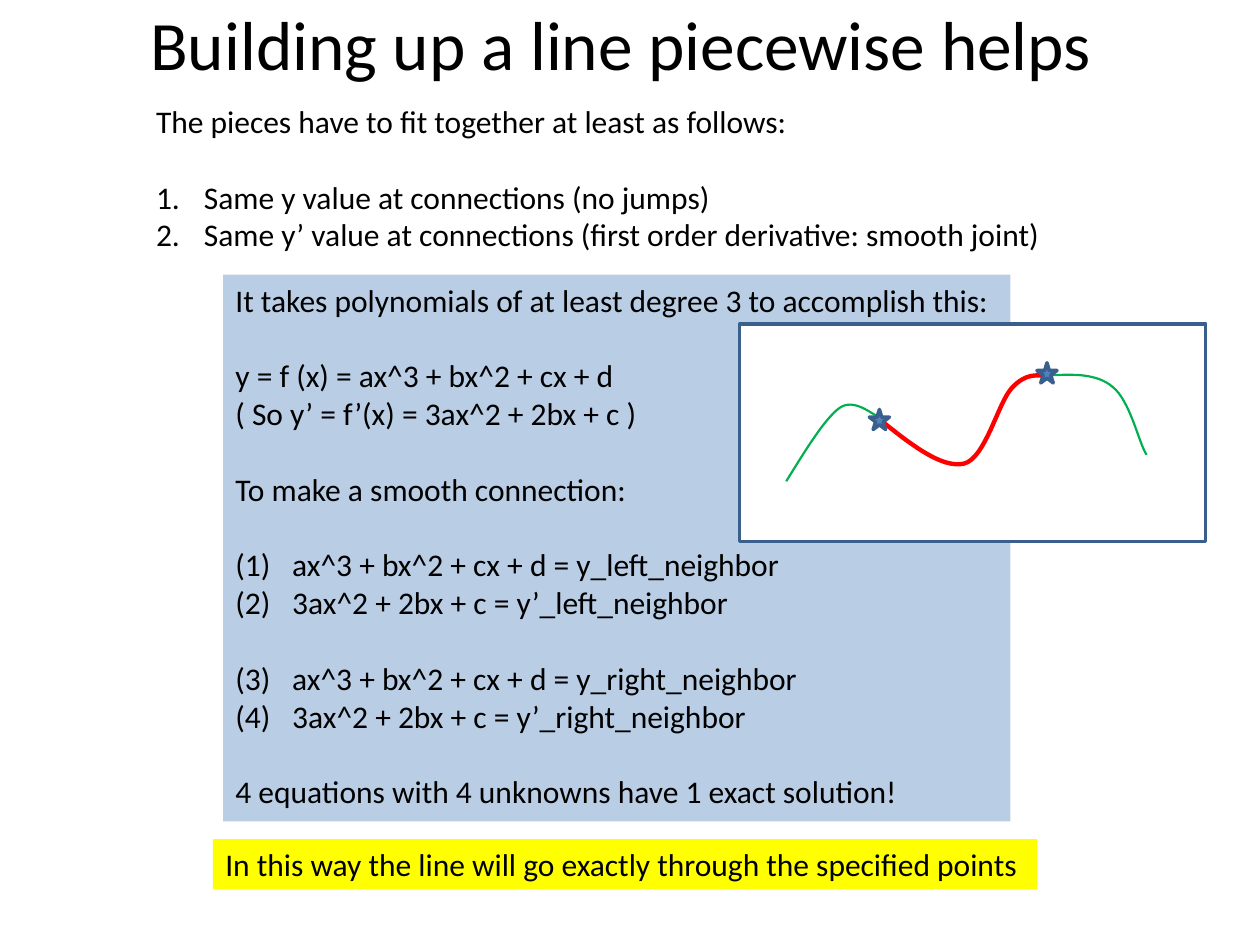
from typing import NamedTuple

from lxml import etree
from pptx import Presentation
from pptx import util as u
from pptx.dml.color import RGBColor
from pptx.enum import shapes, text
from pptx.oxml import ns

BLACK = RGBColor(0x00, 0x00, 0x00)
WHITE = RGBColor(0xFF, 0xFF, 0xFF)
PALE_BLUE = RGBColor(0xB9, 0xCD, 0xE5)
BLUE = RGBColor(0x4F, 0x81, 0xBD)
DARK_BLUE = RGBColor(0x3A, 0x5F, 0x8C)
YELLOW = RGBColor(0xFF, 0xFF, 0x00)
GREEN = RGBColor(0x00, 0xB0, 0x50)
RED = RGBColor(0xFF, 0x00, 0x00)

FONT = "Calibri"
LINE_GAP = u.Pt(21.6)  # one line of 18 pt text
STEPS = 16  # straight steps per Bezier segment
STAR_SIZE = 0.16

Point = tuple[float, float]


class Line(NamedTuple):
    text: str
    gap: bool = False  # leave one line free above
    hang: float = 0  # hanging indent in inches
    numbered: bool = False


class Curve(NamedTuple):
    color: RGBColor
    width: float
    points: list[Point]  # start, then two controls and an end per segment


INTRO = [
    Line("The pieces have to fit together at least as follows:"),
    Line("Same y value at connections (no jumps)", True, 0.38, True),
    Line("Same y’ value at connections (first order derivative: smooth joint)",
         False, 0.38, True),
]
EQUATIONS = [
    Line("It takes polynomials of at least degree 3 to accomplish this:"),
    Line("y = f (x) = ax^3 + bx^2 + cx + d", True),
    Line("( So y’ = f’(x) = 3ax^2 + 2bx + c )"),
    Line("To make a smooth connection:", True),
    Line("(1)\tax^3 + bx^2 + cx + d = y_left_neighbor", True, 0.45),
    Line("(2)\t3ax^2 + 2bx + c = y’_left_neighbor", False, 0.45),
    Line("(3)\tax^3 + bx^2 + cx + d = y_right_neighbor", True, 0.45),
    Line("(4)\t3ax^2 + 2bx + c = y’_right_neighbor", False, 0.45),
    Line("4 equations with 4 unknowns have 1 exact solution!", True),
]
CURVES = [
    Curve(GREEN, 1.25, [(6.24, 3.82), (6.39, 3.58), (6.54, 3.33), (6.66, 3.24),
                        (6.78, 3.15), (6.93, 3.3), (6.98, 3.31)]),
    Curve(RED, 2.5, [(6.97, 3.32), (7.22, 3.52), (7.47, 3.72), (7.65, 3.68),
                     (7.82, 3.64), (7.92, 3.2), (8.03, 3.08),
                     (8.14, 2.96), (8.23, 2.98), (8.31, 2.98)]),
    Curve(GREEN, 1.25, [(8.31, 2.98), (8.51, 2.97), (8.7, 2.96), (8.83, 3.07),
                        (8.97, 3.18), (9.04, 3.52), (9.1, 3.61)]),
]
JOINTS = [(6.98, 3.33), (8.31, 2.96)]


def add_text(s, lines: list[Line], x: float, y: float, w: float, h: float, *,
             size: float = 18, fill: RGBColor | None = None,
             align=text.PP_ALIGN.LEFT, anchor=text.MSO_ANCHOR.TOP):
    """Add a text box with one paragraph per line."""
    sp = s.shapes.add_textbox(*map(u.Inches, (x, y, w, h)))
    if fill is not None:
        sp.fill.solid()
        sp.fill.fore_color.rgb = fill
    tf = sp.text_frame
    tf.word_wrap = True
    tf.vertical_anchor = anchor
    for i, line in enumerate(lines):
        p = tf.add_paragraph() if i else tf.paragraphs[0]
        p.alignment = align
        if line.gap:
            p.space_before = LINE_GAP
        if line.hang:
            pPr = p._p.get_or_add_pPr()
            pPr.set("marL", str(u.Inches(line.hang)))
            pPr.set("indent", str(-u.Inches(line.hang)))
            if line.numbered:
                etree.SubElement(pPr, ns.qn("a:buFont"), typeface="+mj-lt")
                etree.SubElement(pPr, ns.qn("a:buAutoNum"), type="arabicPeriod")
        r = p.add_run()
        r.text = line.text
        r.font.name, r.font.size = FONT, u.Pt(size)
        r.font.color.rgb = BLACK
    return sp


def add_outlined(s, kind, x: float, y: float, w: float, h: float, fill: RGBColor):
    """Add a preset shape with the dark blue outline."""
    sp = s.shapes.add_shape(kind, *map(u.Inches, (x, y, w, h)))
    sp.shadow.inherit = False
    sp.fill.solid()
    sp.fill.fore_color.rgb = fill
    sp.line.color.rgb = DARK_BLUE
    sp.line.width = u.Pt(2)
    return sp


def bezier(a: Point, b: Point, c: Point, d: Point) -> list[Point]:
    """Return the points after a along one cubic segment, in EMU."""
    def at(t: float, i: int) -> int:
        v = 1 - t
        return u.Inches(v**3 * a[i] + 3 * v * v * t * b[i]
                        + 3 * v * t * t * c[i] + t**3 * d[i])
    return [(at(k / STEPS, 0), at(k / STEPS, 1)) for k in range(1, STEPS + 1)]


def add_curve(s, curve: Curve):
    """Draw a chain of cubic segments as an open outline."""
    pts = curve.points
    builder = s.shapes.build_freeform(*map(u.Inches, pts[0]))
    for i in range(0, len(pts) - 1, 3):
        builder.add_line_segments(bezier(*pts[i:i + 4]), close=False)
    sp = builder.convert_to_shape()
    sp.shadow.inherit = False
    sp.fill.background()
    sp.line.color.rgb = curve.color
    sp.line.width = u.Pt(curve.width)
    return sp


def main() -> None:
    prs = Presentation()
    prs.slide_width, prs.slide_height = u.Inches(10), u.Inches(7.5)
    s = prs.slides.add_slide(prs.slide_layouts[6])

    # Title and text
    add_text(s, [Line("Building up a line piecewise helps")], 0.43, 0, 9, 0.68,
             size=39.6, align=text.PP_ALIGN.CENTER, anchor=text.MSO_ANCHOR.MIDDLE)
    add_text(s, INTRO, 1.14, 0.76, 7.56, 1.31)
    add_text(s, EQUATIONS, 1.77, 2.18, 6.25, 4.34, fill=PALE_BLUE)
    add_text(s, [Line("In this way the line will go exactly through the specified points")],
             1.69, 6.66, 6.54, 0.4, fill=YELLOW)

    # Sketch of the piecewise line, with a star on each joint
    add_outlined(s, shapes.MSO_SHAPE.RECTANGLE, 5.87, 2.57, 3.7, 1.73, WHITE)
    for curve in CURVES:
        add_curve(s, curve)
    for x, y in JOINTS:
        add_outlined(s, shapes.MSO_SHAPE.STAR_5_POINT, x - STAR_SIZE / 2,
                     y - STAR_SIZE / 2, STAR_SIZE, STAR_SIZE, BLUE)

    prs.save("out.pptx")


if __name__ == "__main__":
    main()
